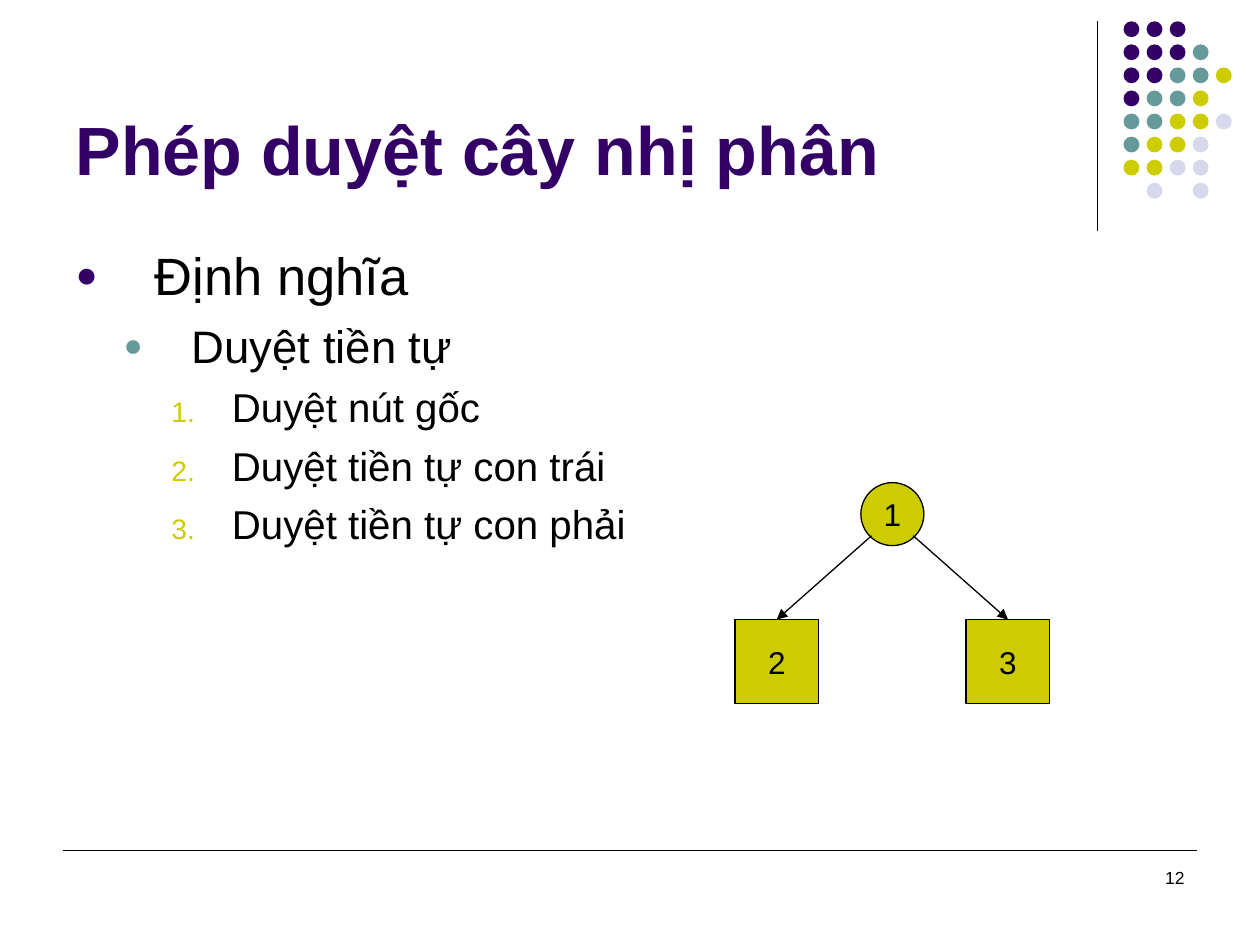
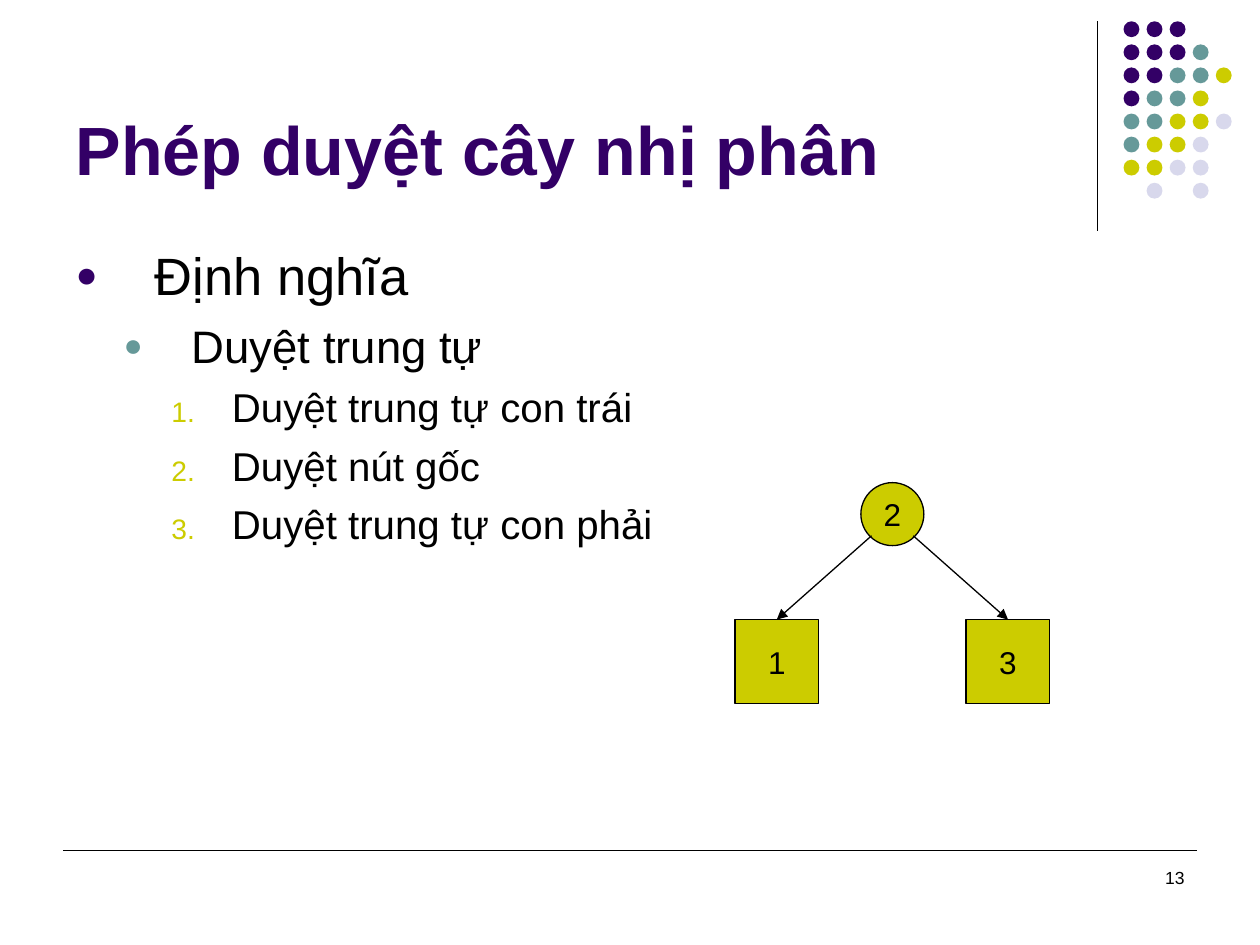
import lxml.etree
import pptx
import pptx.dml.color
import pptx.enum.shapes
import pptx.enum.text
import pptx.oxml.ns
import pptx.util

Cm = pptx.util.Cm
Pt = pptx.util.Pt
SHAPE = pptx.enum.shapes.MSO_SHAPE
ALIGN = pptx.enum.text.PP_ALIGN
ANCHOR = pptx.enum.text.MSO_ANCHOR

FONT = "Arial"
BLACK, PURPLE, TEAL, LIME, LILAC = "000000", "330066", "669999", "CCCC00", "D8D8EC"
DOT_COLORS = {"P": PURPLE, "T": TEAL, "L": LIME, "V": LILAC}
DOT_ROWS = ["PPP", "PPPT", "PPTTL", "PTTL", "TTLLV", "TLLV", "LLVV", " V V"]
DOT_STEP = 1.86 / 4

# Per list level: size, space before, left margin, hanging indent, bullet colour, bullet
LEVELS = [
    (30, 7.5, 1.6, 1.6, PURPLE, ("buChar", "char", "●")),
    (26, 6.5, 2.34, 1.37, TEAL, ("buChar", "char", "●")),
    (23, 5.8, 3.15, 1.22, LIME, ("buAutoNum", "type", "arabicPeriod")),
]

TRAVERSALS = [
    ("12", "Duyệt tiền tự",
     ["Duyệt nút gốc", "Duyệt tiền tự con trái", "Duyệt tiền tự con phải"],
     ("1", "2", "3")),
    ("13", "Duyệt trung tự",
     ["Duyệt trung tự con trái", "Duyệt nút gốc", "Duyệt trung tự con phải"],
     ("2", "1", "3")),
]


def rgb(value):
    return pptx.dml.color.RGBColor.from_string(value)


def add_xml(parent, tag, **attributes):
    return lxml.etree.SubElement(parent, pptx.oxml.ns.qn("a:" + tag), attributes)


class Painter:
    """Holds the deck style and the current slide, and draws each kind of element."""

    def __init__(self):
        self.deck = pptx.Presentation()
        self.deck.slide_width, self.deck.slide_height = Cm(25.4), Cm(19.05)
        self.slide = None

    def start_slide(self, number):
        self.slide = self.deck.slides.add_slide(self.deck.slide_layouts[1])
        self.line(22.12, 0.43, 22.12, 4.65)
        self.dots()
        self.line(1.27, 17.15, 24.13, 17.15)
        box = self.slide.shapes.add_textbox(Cm(18.21), Cm(17.35), Cm(5.92), Cm(1.27))
        box.text_frame.word_wrap = True
        self.set_text(box.text_frame.paragraphs[0], number, 10, align=ALIGN.RIGHT)

    def set_text(self, para, text, size, color=BLACK, bold=False, align=ALIGN.LEFT):
        para.text = text
        para.alignment = align
        para.font.name = FONT
        para.font.size = Pt(size)
        para.font.bold = bold
        para.font.color.rgb = rgb(color)

    def place(self, holder, left, top, width, height, anchor):
        holder.left, holder.top = Cm(left), Cm(top)
        holder.width, holder.height = Cm(width), Cm(height)
        frame = holder.text_frame
        frame.auto_size = pptx.enum.text.MSO_AUTO_SIZE.NONE
        frame.vertical_anchor = anchor
        return frame

    def title(self, text):
        frame = self.place(self.slide.shapes.title, 1.27, 0.33, 20.96, 3.61, ANCHOR.BOTTOM)
        self.set_text(frame.paragraphs[0], text, 39, PURPLE, bold=True)

    def outline(self, items):
        frame = self.place(self.slide.placeholders[1], 1.27, 4.78, 22.86, 12.24, ANCHOR.TOP)
        for index, (level, text) in enumerate(items):
            para = frame.add_paragraph() if index else frame.paragraphs[0]
            size, before, margin, hanging, color, (tag, key, value) = LEVELS[level]
            para.level = level
            para.space_before = Pt(before)
            properties = para._p.get_or_add_pPr()
            properties.set("marL", str(Cm(margin)))
            properties.set("indent", str(-Cm(hanging)))
            add_xml(add_xml(properties, "buClr"), "srgbClr", val=color)
            add_xml(properties, "buSzPct", val="70000")
            add_xml(properties, "buFont", typeface=FONT)
            add_xml(properties, tag, **{key: value})
            self.set_text(para, text, size)

    def shape(self, kind, left, top, size, fill, outlined=False, shapes=None):
        shapes = self.slide.shapes if shapes is None else shapes
        shape = shapes.add_shape(kind, Cm(left), Cm(top), Cm(size), Cm(size))
        shape.shadow.inherit = False
        shape.fill.solid()
        shape.fill.fore_color.rgb = rgb(fill)
        if outlined:
            shape.line.color.rgb = rgb(BLACK)
            shape.line.width = Pt(0.75)
        else:
            shape.line.fill.background()
        return shape

    def dots(self):
        group = self.slide.shapes.add_group_shape()
        for row, codes in enumerate(DOT_ROWS):
            for column, code in enumerate(codes):
                if code != " ":
                    self.shape(SHAPE.OVAL, 22.65 + column * DOT_STEP, 0.43 + row * DOT_STEP,
                               0.32, DOT_COLORS[code], shapes=group.shapes)

    def line(self, x1, y1, x2, y2, arrow=False):
        line = self.slide.shapes.add_connector(
            pptx.enum.shapes.MSO_CONNECTOR.STRAIGHT, Cm(x1), Cm(y1), Cm(x2), Cm(y2))
        line.line.color.rgb = rgb(BLACK)
        line.line.width = Pt(0.75)
        if arrow:
            add_xml(line.line._get_or_add_ln(), "tailEnd", type="triangle")
        add_xml(line._element.spPr, "effectLst")
        return line

    def node(self, kind, center, top, size, label):
        shape = self.shape(kind, center - size / 2, top, size, LIME, outlined=True)
        shape.text_frame.word_wrap = False
        shape.text_frame.vertical_anchor = ANCHOR.MIDDLE
        self.set_text(shape.text_frame.paragraphs[0], label, 18, align=ALIGN.CENTER)
        return shape

    def tree(self, root, left, right):
        center, child_top = 17.99, 12.49
        self.node(SHAPE.OVAL, center, 9.73, 1.27, root)
        for side, label in ((-1, left), (1, right)):
            child_center = center + side * 2.33
            child = self.node(SHAPE.RECTANGLE, child_center, child_top, 1.69, label)
            branch = self.line(center + side * 0.42, 10.8, child_center, child_top, arrow=True)
            branch.end_connect(child, 0)


def main():
    painter = Painter()
    for number, name, steps, labels in TRAVERSALS:
        painter.start_slide(number)
        painter.title("Phép duyệt cây nhị phân")
        painter.outline([(0, "Định nghĩa"), (1, name)] + [(2, step) for step in steps])
        painter.tree(*labels)
    painter.deck.save("out.pptx")


if __name__ == "__main__":
    main()
